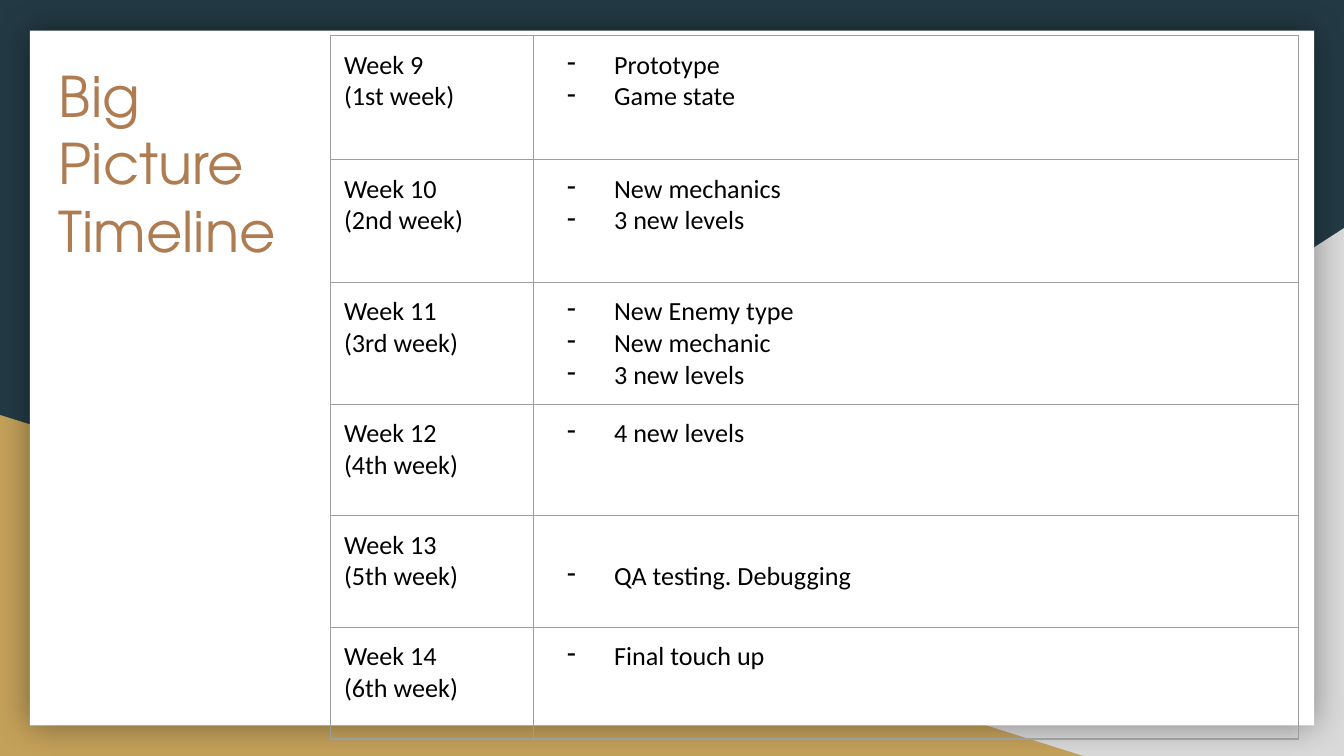
from lxml.etree import SubElement
from pptx import Presentation
from pptx.dml.color import RGBColor
from pptx.enum.shapes import MSO_SHAPE as Preset
from pptx.oxml.ns import qn
from pptx.util import Pt

COLORS = {
    "navy": "233A44",
    "grey": "D9D9D9",
    "gold": "C4A15A",
    "panel": "FFFFFF",
    "title": "AF7B51",
    "text": "000000",
    "border": "9E9E9E",
}
TITLE_FONT = "TeX Gyre Adventor"
BODY_FONT = "Calibri"
INSET = 7.2
LINE_HEIGHT = 16.8

COLUMN_WIDTHS = (108.7, 409.9)
# Row height, week, position in the term, tasks, lines left free above the tasks
WEEKS = [
    (66.4, "Week 9", "(1st week)", ["Prototype", "Game state"], 0),
    (65.6, "Week 10", "(2nd week)", ["New mechanics", "3 new levels"], 0),
    (65.4, "Week 11", "(3rd week)",
     ["New Enemy type", "New mechanic", "3 new levels"], 0),
    (59.8, "Week 12", "(4th week)", ["4 new levels"], 0),
    (59.8, "Week 13", "(5th week)", ["QA testing. Debugging"], 1),
    (59.8, "Week 14", "(6th week)", ["Final touch up"], 0),
]


def rgb(name):
    return RGBColor.from_string(COLORS[name])


def add_color(parent, name):
    return SubElement(parent, qn("a:srgbClr"), val=COLORS[name])


def add_block(slide, preset, color, left, top, width, height):
    shape = slide.shapes.add_shape(
        preset, Pt(left), Pt(top), Pt(width), Pt(height))
    shape.shadow.inherit = False
    shape.fill.solid()
    shape.fill.fore_color.rgb = rgb(color)
    shape.line.fill.background()
    return shape


def flip_horizontally(shape):
    shape.element.spPr.find(qn("a:xfrm")).set("flipH", "1")


def add_glow_shadow(shape, blur, opacity):
    """Give the shape a soft black shadow, even on all sides."""
    effects = shape.element.spPr.find(qn("a:effectLst"))
    shadow = SubElement(effects, qn("a:outerShdw"), blurRad=str(Pt(blur)),
                        dist="0", dir="0", algn="ctr", rotWithShape="0")
    SubElement(add_color(shadow, "text"), qn("a:alpha"),
               val=str(opacity * 1000))


def set_insets(frame):
    frame.margin_left = frame.margin_right = Pt(INSET)
    frame.margin_top = frame.margin_bottom = Pt(INSET)


def add_run(paragraph, text, font, size, color):
    run = paragraph.add_run()
    run.text = text
    run.font.name = font
    run.font.size = Pt(size)
    run.font.color.rgb = rgb(color)


def add_title(slide, text):
    box = slide.shapes.add_textbox(Pt(24.5), Pt(25.9), Pt(139.7), Pt(183.6))
    frame = box.text_frame
    frame.word_wrap = True
    set_insets(frame)
    add_run(frame.paragraphs[0], text, TITLE_FONT, 30, "title")


def add_dash_bullet(paragraph):
    properties = paragraph._p.get_or_add_pPr()
    properties.set("marL", str(Pt(36)))
    properties.set("indent", str(Pt(-25.2)))
    add_color(SubElement(properties, qn("a:buClr")), "text")
    SubElement(properties, qn("a:buChar"), char="-")


def add_borders(cell):
    properties = cell._tc.get_or_add_tcPr()
    for position, side in enumerate(("a:lnL", "a:lnR", "a:lnT", "a:lnB")):
        line = properties.makeelement(qn(side), {"w": str(Pt(0.75))})
        add_color(SubElement(line, qn("a:solidFill")), "border")
        properties.insert(position, line)


def fill_cell(cell, lines, bulleted=False, free_lines=0):
    set_insets(cell)
    cell.margin_top = Pt(INSET + free_lines * LINE_HEIGHT)
    cell.fill.background()
    add_borders(cell)
    frame = cell.text_frame
    for index, line in enumerate(lines):
        paragraph = frame.add_paragraph() if index else frame.paragraphs[0]
        if bulleted:
            add_dash_bullet(paragraph)
        add_run(paragraph, line, BODY_FONT, 14, "text")


def add_timeline(slide):
    height = sum(week[0] for week in WEEKS)
    table = slide.shapes.add_table(
        len(WEEKS), len(COLUMN_WIDTHS), Pt(177.1), Pt(19.2),
        Pt(sum(COLUMN_WIDTHS)), Pt(height)).table
    table.first_row = table.horz_banding = False
    for column, width in zip(table.columns, COLUMN_WIDTHS):
        column.width = Pt(width)
    for row, (height, week, position, tasks, free) in zip(table.rows, WEEKS):
        row.height = Pt(height)
        week_cell, task_cell = row.cells
        fill_cell(week_cell, [week, position])
        fill_cell(task_cell, tasks, bulleted=True, free_lines=free)


def add_backdrop(slide):
    slide.background.fill.solid()
    slide.background.fill.fore_color.rgb = rgb("navy")
    flip_horizontally(add_block(
        slide, Preset.RIGHT_TRIANGLE, "grey", 282.2, 122.2, 437.8, 282.8))
    add_block(slide, Preset.RIGHT_TRIANGLE, "gold", 0, 222.3, 580.3, 182.7)
    panel = add_block(
        slide, Preset.RECTANGLE, "panel", 16, 16.4, 688, 372.2)
    add_glow_shadow(panel, blur=18, opacity=40)


def main():
    presentation = Presentation()
    presentation.slide_width = Pt(720)
    presentation.slide_height = Pt(405)
    slide = presentation.slides.add_slide(presentation.slide_layouts[6])
    add_backdrop(slide)
    add_title(slide, "Big Picture Timeline")
    add_timeline(slide)
    presentation.save("out.pptx")


if __name__ == "__main__":
    main()
